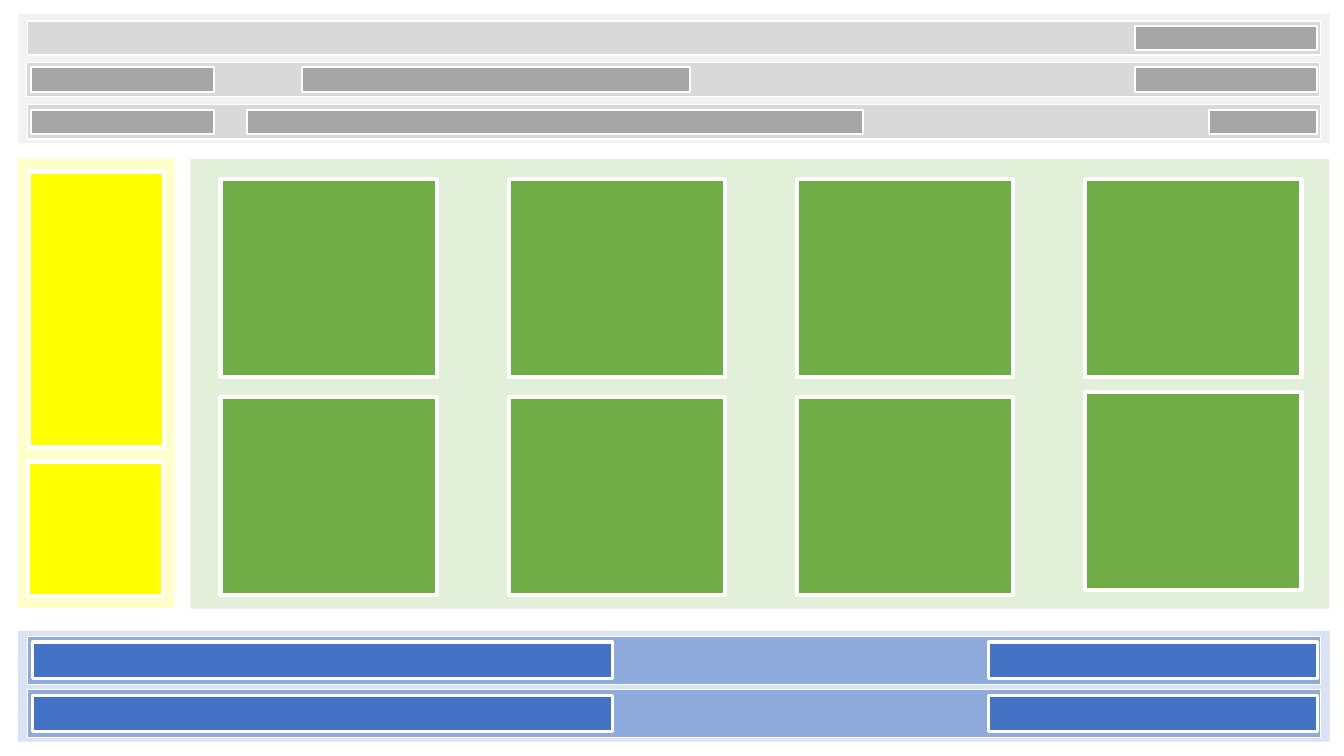
from lxml import etree
from pptx import Presentation
from pptx.dml.color import RGBColor
from pptx.enum.shapes import MSO_SHAPE
from pptx.oxml.ns import qn
from pptx.util import Cm, Pt

RECTANGLE = MSO_SHAPE.RECTANGLE
BLANK_LAYOUT = 6


def color(hex_code):
    return RGBColor.from_string(hex_code)


class Wireframe:
    """Draws the page areas on one slide; all lengths are in cm."""

    border = "FFFFFF"

    def __init__(self, slide):
        self.slide = slide

    def block(self, left, top, width, height, fill, border_pt):
        """A filled rectangle with a white border."""
        rect = self.slide.shapes.add_shape(
            RECTANGLE, Cm(left), Cm(top), Cm(width), Cm(height))
        rect.shadow.inherit = False
        rect.fill.solid()
        rect.fill.fore_color.rgb = color(fill)
        if border_pt:
            rect.line.color.rgb = color(self.border)
            rect.line.width = Pt(border_pt)
        else:
            rect.line.fill.background()
        return rect

    def panel(self, left, top, width, height, fill, opacity=100):
        """A borderless background area, optionally see-through."""
        area = self.block(left, top, width, height, fill, 0)
        if opacity < 100:
            tint = area.element.spPr.find(qn("a:solidFill"))[0]
            etree.SubElement(tint, qn("a:alpha"), val=str(opacity * 1000))

    def band(self, left, top, height, fill, border_pt):
        """A row across the full width of the header or footer."""
        self.block(left, top, 32.59, height, fill, border_pt)


prs = Presentation()
prs.slide_width, prs.slide_height = Cm(33.87), Cm(19.05)
page = Wireframe(prs.slides.add_slide(prs.slide_layouts[BLANK_LAYOUT]))

# Header: three bands, each with its fields as (left, width)
page.panel(0.46, 0.36, 33.05, 3.25, "F2F2F2")
header_rows = [
    (0.69, 0.53, [(28.6, 4.6)]),
    (0.66, 1.57, [(0.79, 4.6), (7.62, 9.78), (28.6, 4.6)]),
    (0.69, 2.64, [(0.79, 4.6), (6.22, 15.54), (30.48, 2.72)]),
]
for band_left, band_top, fields in header_rows:
    page.band(band_left, band_top, 0.86, "D9D9D9", 1)
    for field_left, field_width in fields:
        page.block(field_left, band_top + 0.13, field_width, 0.61, "A6A6A6", 1.5)

# Sidebar
page.panel(0.46, 3.99, 3.94, 11.33, "FFFF00", opacity=21)
page.block(0.74, 4.32, 3.4, 6.96, "FFFF00", 3)
page.block(0.71, 11.63, 3.4, 3.4, "FFFF00", 3)

# Main area: two rows of four cards, the last one slightly raised
page.panel(4.8, 4.01, 28.7, 11.33, "E2F0D9")
card_row_tops = [[4.52] * 4, [10.01] * 3 + [9.88]]
for card_tops in card_row_tops:
    for column, card_top in enumerate(card_tops):
        page.block(5.56 + 7.26 * column, card_top, 5.46, 4.98, "70AD47", 3)

# Footer: two bands with a wide and a narrow field each
page.panel(0.46, 15.9, 33.05, 2.79, "DAE3F3")
for band_top, band_border in [(16.03, 0.5), (17.37, 1)]:
    page.band(0.69, band_top, 1.22, "8FAADC", band_border)
    for field_left, field_width in [(0.81, 14.63), (24.92, 8.28)]:
        page.block(field_left, band_top + 0.15, field_width, 0.91, "4472C4", 2.25)

prs.save("out.pptx")
